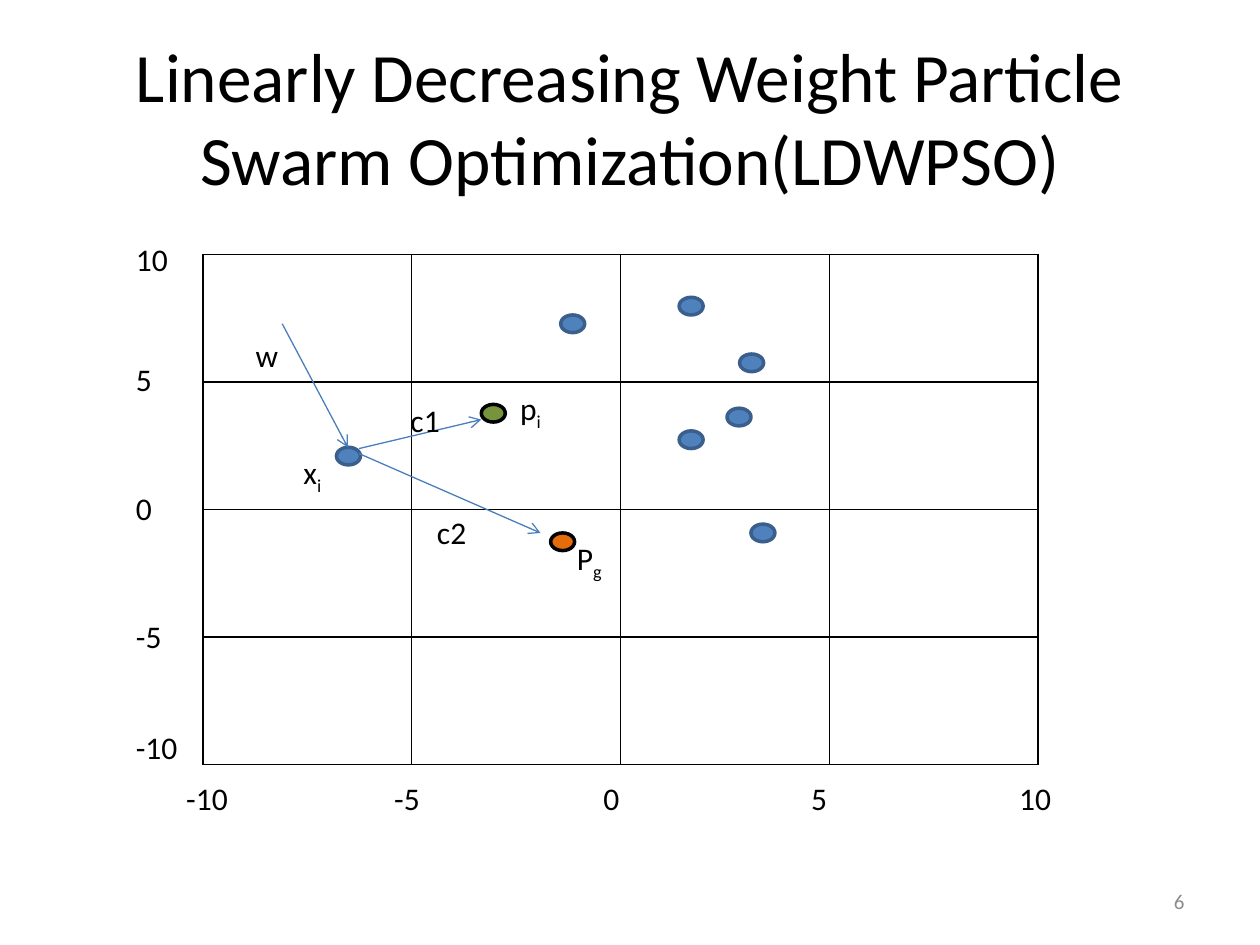
from lxml import etree
from pptx import Presentation
from pptx.dml.color import RGBColor
from pptx.enum import shapes, text
from pptx.oxml import ns
from pptx.util import Inches, Pt


def color(value):
    return RGBColor.from_string(value)


def add_text(left, top, width, height, content, size=18, fill="000000",
             align=text.PP_ALIGN.LEFT, subscript="", label=True):
    box = slide.shapes.add_textbox(Inches(left), Inches(top), Inches(width), Inches(height))
    frame = box.text_frame
    frame.word_wrap = not label
    if label:
        frame.auto_size = text.MSO_AUTO_SIZE.SHAPE_TO_FIT_TEXT
    else:
        frame.vertical_anchor = text.MSO_ANCHOR.MIDDLE
    paragraph = frame.paragraphs[0]
    paragraph.text = content
    paragraph.alignment = align
    if subscript:
        run = paragraph.add_run()
        run.text = subscript
        run.font._element.set("baseline", "-25000")
    for run in paragraph.runs:
        run.font.name = "Calibri"
        run.font.size = Pt(size)
        run.font.color.rgb = color(fill)


presentation = Presentation()
presentation.slide_width, presentation.slide_height = Inches(10), Inches(7.5)
slide = presentation.slides.add_slide(presentation.slide_layouts[6])

# Title and slide number
add_text(0.5, 0.3, 9, 1.25, "Linearly Decreasing Weight Particle Swarm Optimization(LDWPSO)",
         39.6, align=text.PP_ALIGN.CENTER, label=False)
add_text(7.17, 6.95, 2.33, 0.4, "6", 12, "8C8C8C", text.PP_ALIGN.RIGHT, label=False)

# Search space grid
table = slide.shapes.add_table(4, 4, Inches(1.61), Inches(2.02), Inches(6.63), Inches(4.05)).table
table.first_row = table.horz_banding = False
for cell in table.iter_cells():
    cell.fill.background()
    properties = cell._tc.get_or_add_tcPr()
    for index, side in enumerate(("lnL", "lnR", "lnT", "lnB")):
        border = etree.Element(ns.qn(f"a:{side}"), w=str(Pt(1)))
        solid = etree.SubElement(border, ns.qn("a:solidFill"))
        etree.SubElement(solid, ns.qn("a:srgbClr"), val="000000")
        properties.insert(index, border)

# Axis labels
widths = {"-10": 0.54, "-5": 0.41, "0": 0.33, "5": 0.33, "10": 0.46}
x_lefts = (1.38, 3.03, 4.69, 6.34, 7.99)
y_tops = (5.73, 4.85, 3.83, 2.81, 1.86)
for (value, width), left, top in zip(widths.items(), x_lefts, y_tops):
    add_text(left, 6.13, width, 0.4, value)
    add_text(0.98, top, width, 0.4, value)

# Particles, personal best (green) and global best (orange)
swarm = [(2.67, 3.55), (4.45, 2.5), (5.39, 3.42), (5.87, 2.81),
         (5.77, 3.24), (5.39, 2.36), (5.96, 4.16)]
particles = [(left, top, "4F81BD", "3A5F8C") for left, top in swarm]
particles += [(3.82, 3.21, "77933C", "000000"), (4.37, 4.23, "E46C0A", "000000")]
for left, top, fill, outline in particles:
    particle = slide.shapes.add_shape(shapes.MSO_SHAPE.OVAL, Inches(left), Inches(top),
                                      Inches(0.19), Inches(0.14))
    particle.shadow.inherit = False
    particle.fill.solid()
    particle.fill.fore_color.rgb = color(fill)
    particle.line.color.rgb = color(outline)
    particle.line.width = Pt(2)

# Velocity component arrows
for points in ((2.85, 3.56, 3.82, 3.33), (2.85, 3.6, 4.29, 4.23), (2.24, 2.57, 2.76, 3.55)):
    arrow = slide.shapes.add_connector(shapes.MSO_CONNECTOR.STRAIGHT,
                                       *(Inches(point) for point in points))
    arrow.line.color.rgb = color("4B7EBC")
    arrow.line.width = Pt(0.75)
    etree.SubElement(arrow.line._get_or_add_ln(), ns.qn("a:tailEnd"), type="arrow")
    etree.SubElement(arrow._element.spPr, ns.qn("a:effectLst"))

# Particle and weight labels
for left, top, width, name, subscript in (
    (4.03, 3.04, 0.37, "p", "i"),
    (2.31, 3.55, 0.35, "x", "i"),
    (4.48, 4.23, 0.41, "P", "g"),
    (3.37, 4.02, 0.44, "c2", ""),
    (3.16, 3.13, 0.44, "c1", ""),
    (1.93, 2.62, 0.38, "w", ""),
):
    add_text(left, top, width, 0.4, name, subscript=subscript)

presentation.save("out.pptx")
